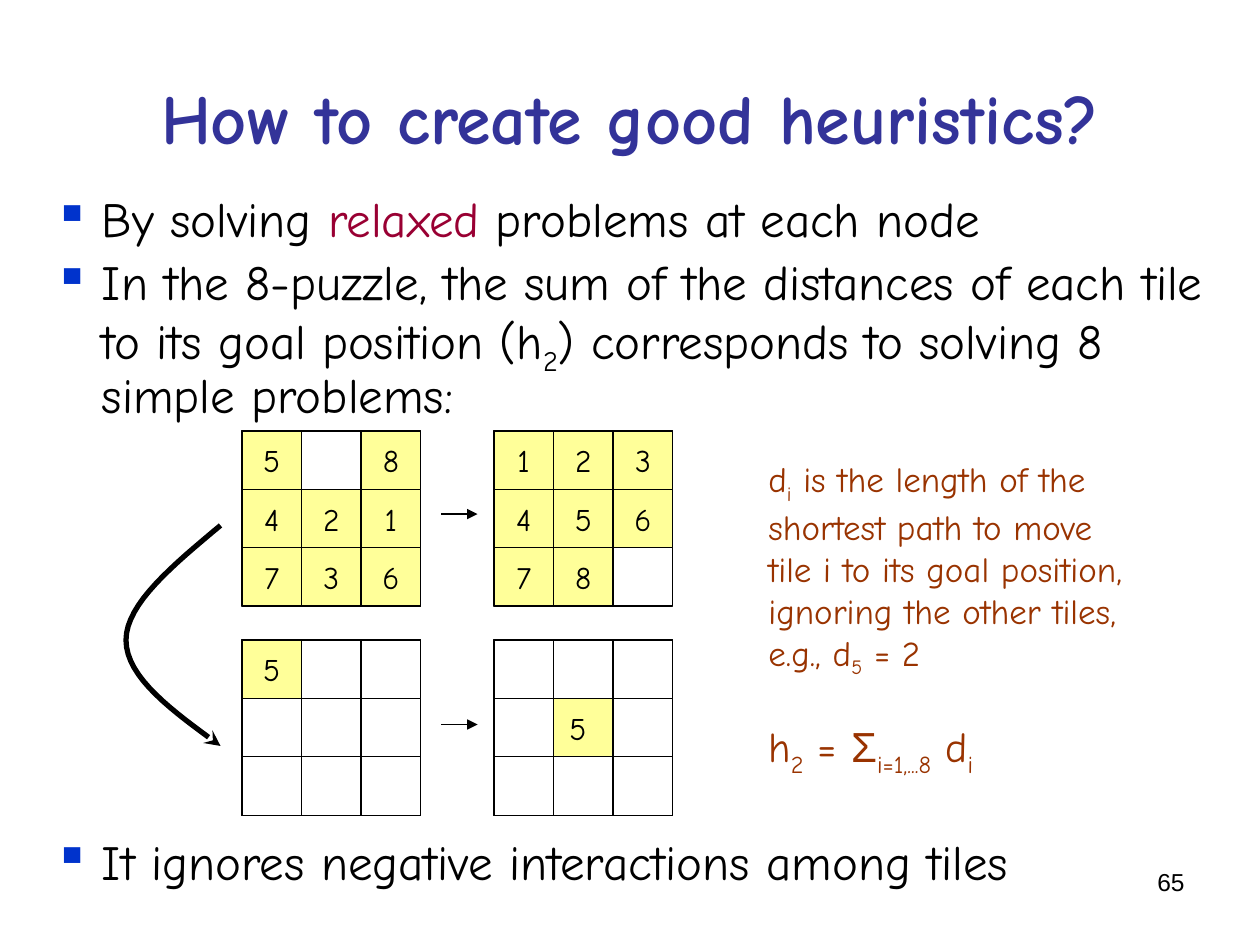
from lxml.etree import SubElement
from pptx import Presentation
from pptx.dml.color import RGBColor
from pptx.enum.shapes import MSO_CONNECTOR, MSO_SHAPE
from pptx.enum.text import MSO_ANCHOR, PP_ALIGN
from pptx.oxml.ns import qn
from pptx.util import Inches, Pt

COLORS = {
    "ink": "000000",
    "title": "333399",
    "accent": "990033",
    "bullet": "0033CC",
    "note": "993300",
    "tile": "FFFF99",
    "empty": "FFFFFF",
}


def add_span(para, text, size=28, color="ink", font="Comic Neue", bold=False, sub=False):
    span = para.add_run()
    span.text = text
    span.font.size = Pt(size)
    span.font.name = font
    span.font.bold = bold
    span.font.color.rgb = RGBColor.from_string(COLORS[color])
    if sub:
        span.font._element.set("baseline", "-25000")


def style_line(shape, width, head=None):
    shape.line.color.rgb = RGBColor.from_string(COLORS["ink"])
    shape.line.width = Pt(width)
    properties = shape._element.spPr
    if head:
        SubElement(properties.find(qn("a:ln")), qn("a:tailEnd"), type=head)
    SubElement(properties, qn("a:effectLst"))


deck = Presentation()
deck.slide_width, deck.slide_height = Inches(10), Inches(7.5)
page = deck.slides.add_slide(deck.slide_layouts[6])

# Puzzle boards: left, top, rows of tiles ("." is a drawn empty cell, " " is a gap)
BOARD_WIDTH, BOARD_HEIGHT = 1.42, 1.39
cell_width, cell_height = BOARD_WIDTH / 3, BOARD_HEIGHT / 3
boards = [
    (1.92, 3.42, ["5 8", "421", "736"]),
    (3.92, 3.42, ["123", "456", "78 "]),
    (1.92, 5.08, ["5..", "...", "..."]),
    (3.92, 5.08, ["...", ".#.", "..."]),
]
for left, top, rows in boards:
    frame = page.shapes.add_shape(MSO_SHAPE.RECTANGLE, Inches(left), Inches(top),
                                  Inches(BOARD_WIDTH), Inches(BOARD_HEIGHT))
    frame.fill.background()
    style_line(frame, 0.75)
    for row, marks in enumerate(rows):
        for column, mark in enumerate(marks):
            if mark == " ":
                continue
            tile = page.shapes.add_shape(
                MSO_SHAPE.RECTANGLE,
                Inches(left + column * cell_width), Inches(top + row * cell_height),
                Inches(cell_width), Inches(cell_height))
            tile.fill.solid()
            tile.fill.fore_color.rgb = RGBColor.from_string(
                COLORS["empty" if mark == "." else "tile"])
            style_line(tile, 0.75)
            if mark.isdigit():
                tile.text_frame.word_wrap = False
                tile.text_frame.vertical_anchor = MSO_ANCHOR.MIDDLE
                para = tile.text_frame.paragraphs[0]
                para.alignment = PP_ALIGN.CENTER
                add_span(para, mark, size=18)

# Arrows from start board to goal board
for y in (4.08, 5.75):
    arrow = page.shapes.add_connector(MSO_CONNECTOR.STRAIGHT, Inches(3.5), Inches(y),
                                      Inches(3.79), Inches(y))
    style_line(arrow, 0.75, head="triangle")

# Curved arrow from the full puzzle to the relaxed one
curves = [
    ((1.75, 4.17), (1.38, 4.48), (1, 4.79), (1, 5.08)),
    ((1, 5.08), (1, 5.38), (1.38, 5.65), (1.75, 5.92)),
]
STEPS = 16
points = []
for curve in curves:
    for step in range(1, STEPS + 1):
        t = step / STEPS
        weights = ((1 - t) ** 3, 3 * t * (1 - t) ** 2, 3 * t ** 2 * (1 - t), t ** 3)
        points.append(tuple(
            Inches(sum(weight * point[axis] for weight, point in zip(weights, curve)))
            for axis in (0, 1)))
builder = page.shapes.build_freeform(Inches(1.75), Inches(4.17))
builder.add_line_segments(points, close=False)
swoop = builder.convert_to_shape()
swoop.fill.background()
style_line(swoop, 3, head="stealth")

# Text boxes: place, alignment, anchor, bulleted, paragraphs of (text, format)
note = {"size": 20, "color": "note"}
note_sub = {**note, "sub": True}
formula = {"size": 24, "color": "note"}
formula_sub = {**formula, "sub": True}
texts = [
    ((0.5, 0.3, 9, 1.25), PP_ALIGN.CENTER, MSO_ANCHOR.MIDDLE, False, [
        [("How to create good heuristics?", {"size": 40, "color": "title", "bold": True})],
    ]),
    ((0.33, 1.5, 9.42, 1.9), PP_ALIGN.LEFT, MSO_ANCHOR.TOP, True, [
        [("By solving ", {}), ("relaxed", {"color": "accent"}),
         (" problems at each node", {})],
        [("In the 8-puzzle, the sum of the distances of each tile to its goal position (h", {}),
         ("2", {"sub": True}), (") corresponds to solving 8 simple problems:", {})],
    ]),
    ((0.33, 6.6, 9.42, 0.6), PP_ALIGN.LEFT, MSO_ANCHOR.TOP, True, [
        [("It ignores negative interactions among tiles", {})],
    ]),
    ((4.42, 5.58, 0.35, 0.4), PP_ALIGN.LEFT, MSO_ANCHOR.TOP, False, [
        [("5", {"size": 18})],
    ]),
    ((6, 3.58, 3.43, 2.5), PP_ALIGN.LEFT, MSO_ANCHOR.TOP, False, [
        [("d", note), ("i", note_sub), (" is the length of the", note)],
        [("shortest path to move", note)],
        [("tile i to its goal position,", note)],
        [("ignoring the other tiles,", note)],
        [("e.g., d", note), ("5", note_sub), (" = 2", note)],
        [("h", formula), ("2", formula_sub), (" = ", formula),
         ("Σ", {**formula, "font": "Arial"}), ("i=1,...8", formula_sub),
         (" d", formula), ("i", formula_sub)],
    ]),
    ((7.17, 6.83, 2.33, 0.52), PP_ALIGN.RIGHT, MSO_ANCHOR.TOP, False, [
        [("65", {"size": 14, "font": "Arial"})],
    ]),
]
for place, alignment, anchor, bulleted, paragraphs in texts:
    box = page.shapes.add_textbox(*(Inches(length) for length in place))
    box.text_frame.word_wrap = True
    box.text_frame.vertical_anchor = anchor
    for index, spans in enumerate(paragraphs):
        para = box.text_frame.add_paragraph() if index else box.text_frame.paragraphs[0]
        para.alignment = alignment
        if bulleted:
            para.line_spacing = 0.9
            para.space_before = Pt(5.6)
            properties = para._p.get_or_add_pPr()
            properties.set("marL", str(Inches(0.38)))
            properties.set("indent", str(Inches(-0.38)))
            bullet_color = SubElement(properties, qn("a:buClr"))
            SubElement(bullet_color, qn("a:srgbClr"), val=COLORS["bullet"])
            SubElement(properties, qn("a:buChar"), char="▪")
        elif spans[0][1] is formula:
            para.space_before = Pt(24)
        for text, look in spans:
            add_span(para, text, **look)

deck.save("out.pptx")
